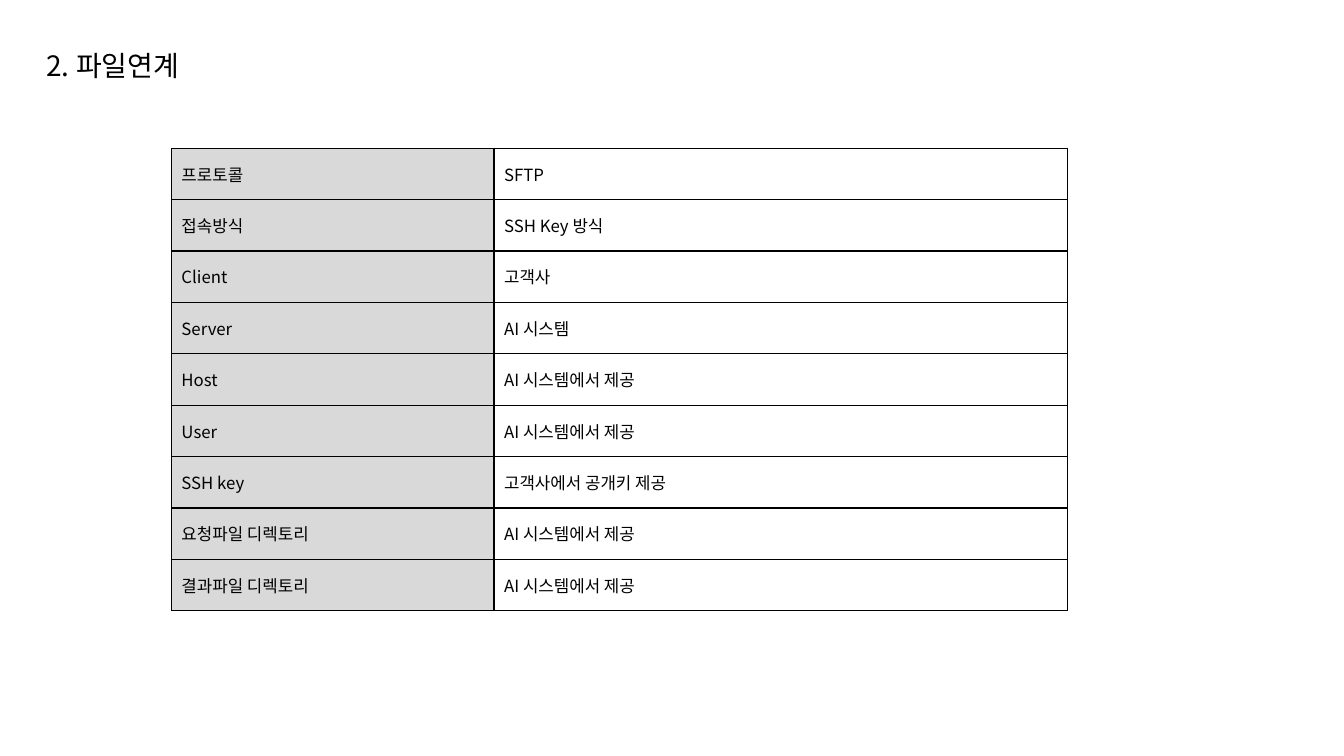
"""Build the file transfer slide with its table of connection settings."""
import pptx
import pptx.dml.color
import pptx.enum.text
import pptx.oxml
import pptx.oxml.ns
import pptx.util
from pptx.util import Inches

TITLE = "2. 파일연계"
PROVIDED = "AI 시스템에서 제공"
SETTINGS = [
    ("프로토콜", "SFTP"),
    ("접속방식", "SSH Key 방식"),
    ("Client", "고객사"),
    ("Server", "AI 시스템"),
    ("Host", PROVIDED),
    ("User", PROVIDED),
    ("SSH key", "고객사에서 공개키 제공"),
    ("요청파일 디렉토리", PROVIDED),
    ("결과파일 디렉토리", PROVIDED),
]
COLUMN_WIDTHS = (3.2, 5.69)
ROW_HEIGHT = 0.51
FONT = "Noto Sans CJK KR"
BLACK = pptx.dml.color.RGBColor(0x00, 0x00, 0x00)
LABEL_GRAY = pptx.dml.color.RGBColor(0xD9, 0xD9, 0xD9)
ANCHOR = pptx.enum.text.MSO_ANCHOR


def format_text(text_frame, size):
    paragraph = text_frame.paragraphs[0]
    paragraph.alignment = pptx.enum.text.PP_ALIGN.LEFT
    for run in paragraph.runs:
        run.font.size = pptx.util.Pt(size)
        run.font.name = FONT
        run.font.bold = False
        run.font.color.rgb = BLACK
        latin = run._r.get_or_add_rPr().find(pptx.oxml.ns.qn("a:latin"))
        latin.addnext(pptx.oxml.parse_xml(
            f'<a:ea {pptx.oxml.ns.nsdecls("a")} typeface="{FONT}"/>'))


def add_borders(cell):
    properties = cell._tc.get_or_add_tcPr()
    for index, side in enumerate(("lnL", "lnR", "lnT", "lnB")):
        properties.insert(index, pptx.oxml.parse_xml(
            f'<a:{side} {pptx.oxml.ns.nsdecls("a")} w="{pptx.util.Pt(1)}">'
            f'<a:solidFill><a:srgbClr val="{BLACK}"/></a:solidFill></a:{side}>'))


presentation = pptx.Presentation()
presentation.slide_width, presentation.slide_height = Inches(13.33), Inches(7.5)
slide = presentation.slides.add_slide(presentation.slide_layouts.get_by_name("Title Only"))

title = slide.shapes.title
title.left, title.top = Inches(0.36), Inches(0.43)
title.width, title.height = Inches(6.31), Inches(0.44)
title.text_frame.text = TITLE
title.text_frame.vertical_anchor = ANCHOR.TOP
title.text_frame.auto_size = pptx.enum.text.MSO_AUTO_SIZE.SHAPE_TO_FIT_TEXT
format_text(title.text_frame, 20)

table = slide.shapes.add_table(
    len(SETTINGS), len(COLUMN_WIDTHS), Inches(1.7), Inches(1.47),
    Inches(sum(COLUMN_WIDTHS)), Inches(ROW_HEIGHT * len(SETTINGS))).table
table.first_row = table.horz_banding = False
for column, width in zip(table.columns, COLUMN_WIDTHS):
    column.width = Inches(width)
for row, setting in zip(table.rows, SETTINGS):
    row.height = Inches(ROW_HEIGHT)
    for column_index, (cell, text) in enumerate(zip(row.cells, setting)):
        cell.text_frame.text = text
        cell.vertical_anchor = ANCHOR.MIDDLE
        format_text(cell.text_frame, 12)
        if column_index == 0:
            cell.fill.solid()
            cell.fill.fore_color.rgb = LABEL_GRAY
        else:
            cell.fill.background()
        add_borders(cell)

presentation.save("out.pptx")
